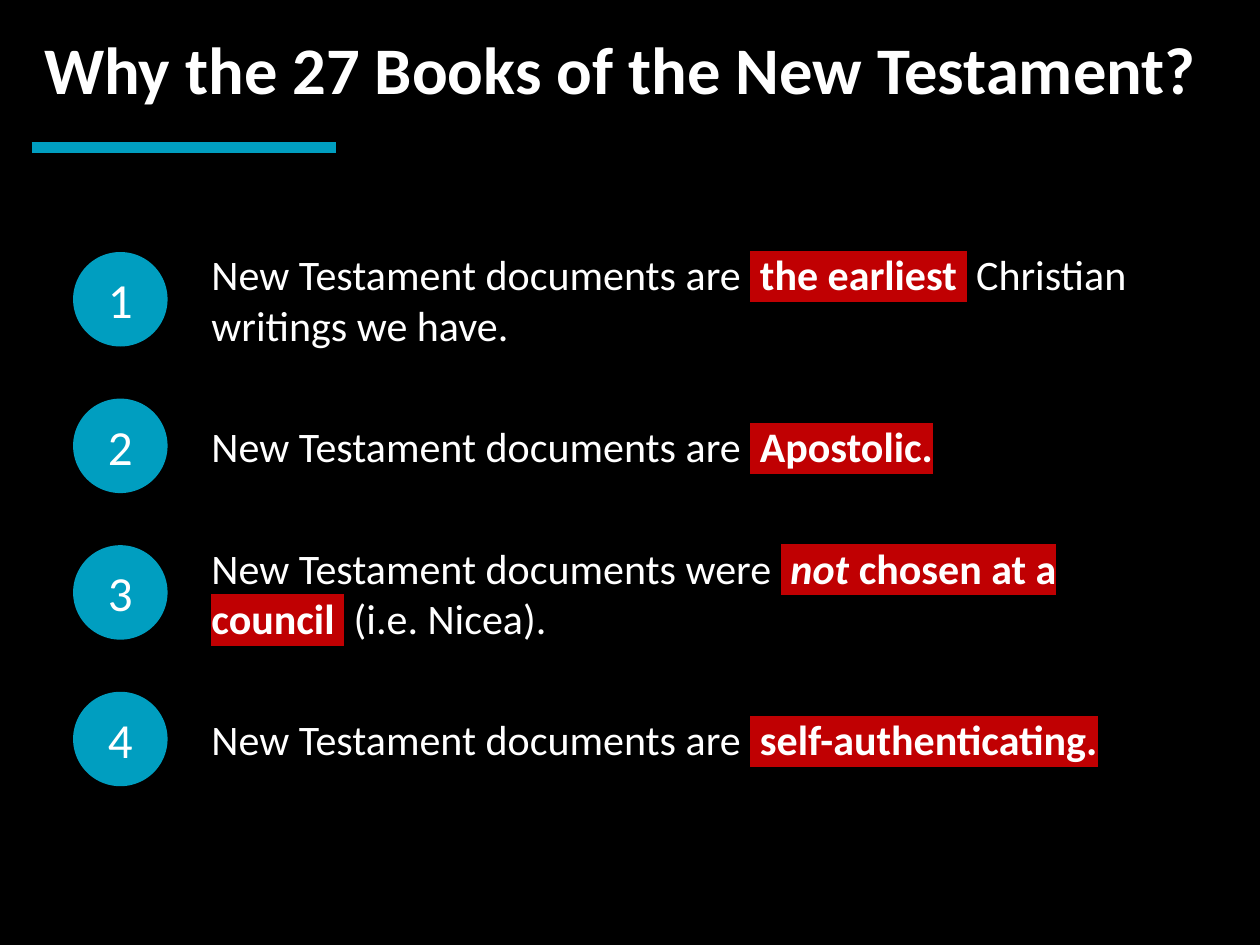
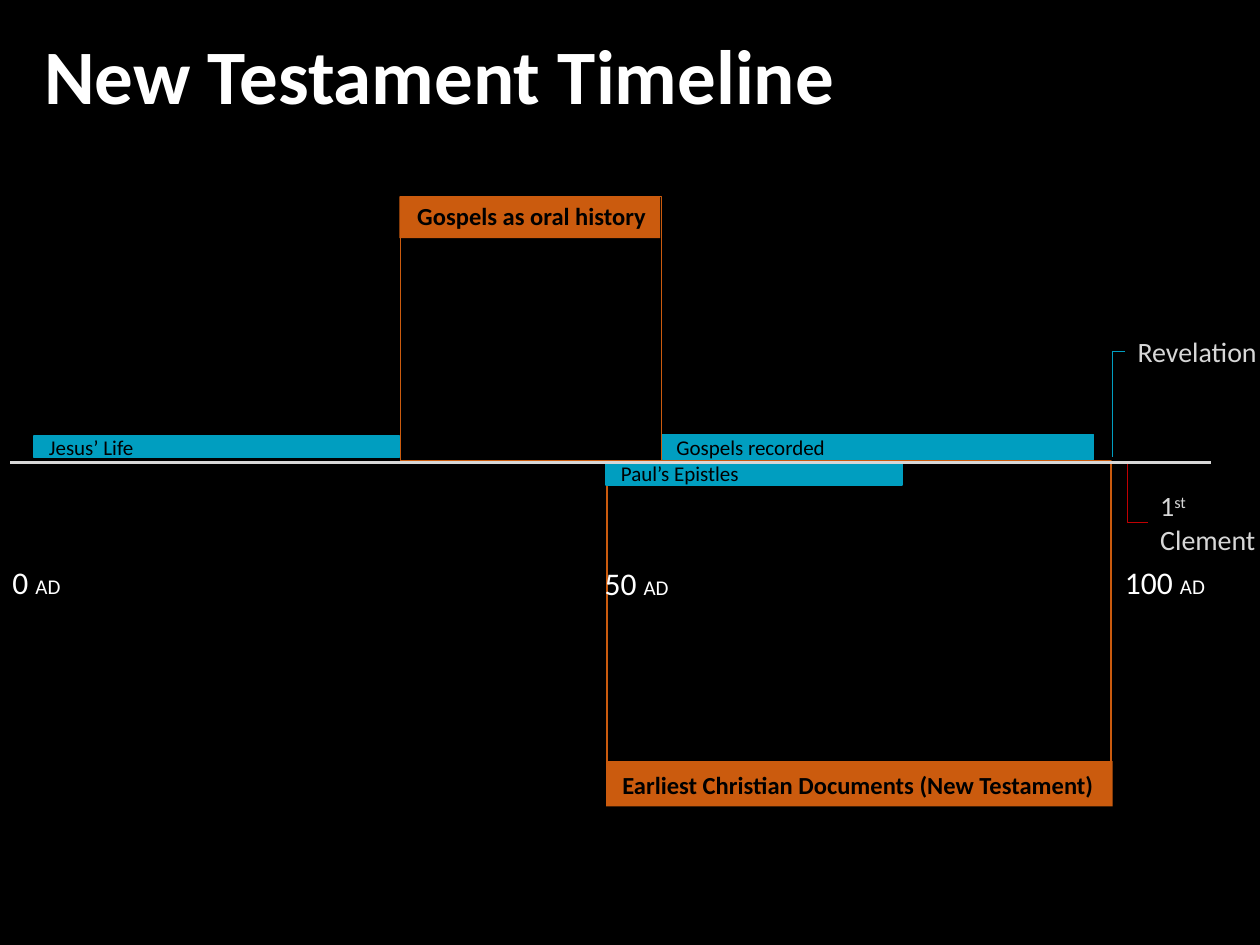
from typing import NamedTuple

from lxml.etree import SubElement
from pptx import Presentation
from pptx.dml.color import RGBColor
from pptx.enum.shapes import MSO_CONNECTOR, MSO_SHAPE
from pptx.enum.text import MSO_ANCHOR, MSO_AUTO_SIZE, PP_ALIGN
from pptx.oxml.ns import qn
from pptx.util import Inches, Pt

FONT = "Calibri"
BLACK, WHITE, GREY = "000000", "FFFFFF", "D7D7D7"
TEAL, RED, RUST = "009EC0", "C00002", "CB5B0E"
AXIS = 3.67  # height of the time line


class Run(NamedTuple):
    text: str
    bold: bool = False
    slant: bool = False
    mark: str = ""
    size: float = 0
    lift: int = 0


class Bar(NamedTuple):
    text: str
    left: float
    top: float
    width: float
    height: float
    inset: float
    text_top: float
    text_width: float


class Frame(NamedTuple):
    text: str
    box: tuple
    band: tuple
    label: tuple


class Note(NamedTuple):
    runs: list
    box: tuple
    start: tuple
    end: tuple
    color: str


def hot(text: str, slant: bool = False) -> Run:
    return Run(text, bold=True, slant=slant, mark=RED)


def paint(color: str) -> RGBColor:
    return RGBColor.from_string(color)


def write(frame, text, size=24, color=WHITE, bold=False, align=PP_ALIGN.LEFT,
          anchor=MSO_ANCHOR.TOP, wrap=True, grow=False) -> None:
    """Fill a text frame with a string or a list of runs."""
    frame.word_wrap = wrap
    frame.vertical_anchor = anchor
    frame.auto_size = MSO_AUTO_SIZE.SHAPE_TO_FIT_TEXT if grow else MSO_AUTO_SIZE.NONE
    line = frame.paragraphs[0]
    line.alignment = align
    for part in [Run(text)] if isinstance(text, str) else text:
        run = line.add_run()
        run.text = part.text
        font = run.font
        font.size = Pt(part.size or size)
        font.bold = bold or part.bold
        font.italic = part.slant
        font.color.rgb = paint(color)
        props = run._r.get_or_add_rPr()
        if part.mark:
            glow = SubElement(props, qn("a:highlight"))
            SubElement(glow, qn("a:srgbClr"), val=part.mark)
        if part.lift:
            props.set("baseline", str(part.lift * 1000))
        font.name = FONT


def label(slide, box: tuple, text, **style) -> None:
    area = slide.shapes.add_textbox(*map(Inches, box))
    write(area.text_frame, text, **style)


def shape(slide, kind, box: tuple, fill: str = "", edge: str = "", width: float = 0.75):
    item = slide.shapes.add_shape(kind, *map(Inches, box))
    item.shadow.inherit = False
    if fill:
        item.fill.solid()
        item.fill.fore_color.rgb = paint(fill)
    else:
        item.fill.background()
    if edge:
        item.line.color.rgb = paint(edge)
        item.line.width = Pt(width)
    else:
        item.line.fill.background()
    return item


def link(slide, start: tuple, end: tuple, color: str, width: float, bent: bool = False) -> None:
    kind = MSO_CONNECTOR.ELBOW if bent else MSO_CONNECTOR.STRAIGHT
    line = slide.shapes.add_connector(kind, *map(Inches, start + end))
    line.line.color.rgb = paint(color)
    line.line.width = Pt(width)
    props = line._element.spPr
    if bent:  # one corner only
        props.find(qn("a:prstGeom")).set("prst", "bentConnector2")
    SubElement(props, qn("a:effectLst"))


def start_slide(deck, title: str, size: float, height: float):
    slide = deck.slides.add_slide(deck.slide_layouts[5])
    head = slide.shapes.title
    head.left, head.top, head.width, head.height = map(Inches, (0.25, 0.17, 9.42, height))
    write(head.text_frame, title, size=size, bold=True, grow=True)
    return slide


LEAD = "New Testament documents are "
POINTS = [
    [Run(LEAD), hot(" the earliest "), Run(" Christian writings we have.")],
    [Run(LEAD), hot(" Apostolic.")],
    [Run("New Testament documents were "), hot(" "), hot("not", slant=True),
     hot(" chosen at a council "), Run(" (i.e. Nicea).")],
    [Run(LEAD), hot(" self-authenticating.")],
]

BARS = [
    Bar("Gospels recorded", 5.26, 3.45, 3.42, 0.2, 0.01, 3.4, 1.86),
    Bar("Jesus’ Life", 0.27, 3.46, 2.9, 0.17, 0.02, 3.4, 2.35),
    Bar("Paul’s Epistles", 4.81, AXIS, 2.35, 0.18, 0.02, 3.61, 1.67),
]

FRAMES = [
    Frame("Earliest Christian Documents (New Testament)", (4.82, 3.66, 4, 2.71),
          (4.81, 6.04, 4.02, 0.36), (4.81, 6.06, 4, 0.34)),
    Frame("Gospels as oral history", (3.18, 1.56, 2.07, 2.1),
          (3.17, 1.56, 2.07, 0.33), (3.18, 1.55, 2.08, 0.34)),
]

NOTES = [
    Note([Run("1"), Run("st", lift=30), Run(" Clement")], (9.11, 3.83, 1.19, 0.64),
         (9.11, 4.15), (8.95, AXIS), RED),
    Note([Run("Revelation")], (8.93, 2.61, 1.19, 0.37),
         (8.93, 2.79), (8.83, 3.63), TEAL),
]

YEARS = [("0 ", 0, 4.42, 0.59), ("50 ", 4.7, 4.43, 0.72), ("100 ", 8.83, 4.42, 0.84)]


def draw_points(deck) -> None:
    slide = start_slide(deck, "Why the 27 Books of the New Testament?", 38, 0.74)
    link(slide, (0.25, 1.17), (2.67, 1.17), TEAL, 6)
    for i, runs in enumerate(POINTS):
        top = 2 + i * 3.49 / 3
        disc = shape(slide, MSO_SHAPE.OVAL, (0.58, top, 0.75, 0.75), fill=TEAL)
        write(disc.text_frame, str(i + 1), size=28, align=PP_ALIGN.CENTER,
              anchor=MSO_ANCHOR.MIDDLE)
        label(slide, (1.58, top, 7.75, 0.75), runs, anchor=MSO_ANCHOR.MIDDLE)


def draw_times(deck) -> None:
    slide = start_slide(deck, "New Testament Timeline", 44, 0.84)
    # Notes at the right end
    for note in NOTES:
        link(slide, note.start, note.end, note.color, 0.75, bent=True)
        label(slide, note.box, note.runs, size=16, color=GREY, grow=True)
    # Framed spans
    for span in FRAMES:
        shape(slide, MSO_SHAPE.RECTANGLE, span.band, fill=RUST)
        shape(slide, MSO_SHAPE.RECTANGLE, span.box, edge=RUST, width=1)
        label(slide, span.label, span.text, size=14, color=BLACK, bold=True,
              align=PP_ALIGN.CENTER, grow=True)
    # Years
    for year, left, top, width in YEARS:
        label(slide, (left, top, width, 0.4), [Run(year), Run("AD", size=12)],
              size=18, wrap=False, grow=True)
    # Bars along the axis
    for bar in BARS:
        shape(slide, MSO_SHAPE.RECTANGLE, (bar.left, bar.top, bar.width, bar.height),
              fill=TEAL, edge=TEAL)
        label(slide, (bar.left + bar.inset, bar.text_top, bar.text_width, 0.3), bar.text,
              size=12, color=BLACK, grow=True)
    link(slide, (0.08, AXIS), (9.61, AXIS), GREY, 2)


def main() -> None:
    deck = Presentation()
    deck.slide_width, deck.slide_height = Inches(10), Inches(7.5)
    back = deck.slide_master.background.fill
    back.solid()
    back.fore_color.rgb = paint(BLACK)
    draw_points(deck)
    draw_times(deck)
    deck.save("out.pptx")


if __name__ == "__main__":
    main()
